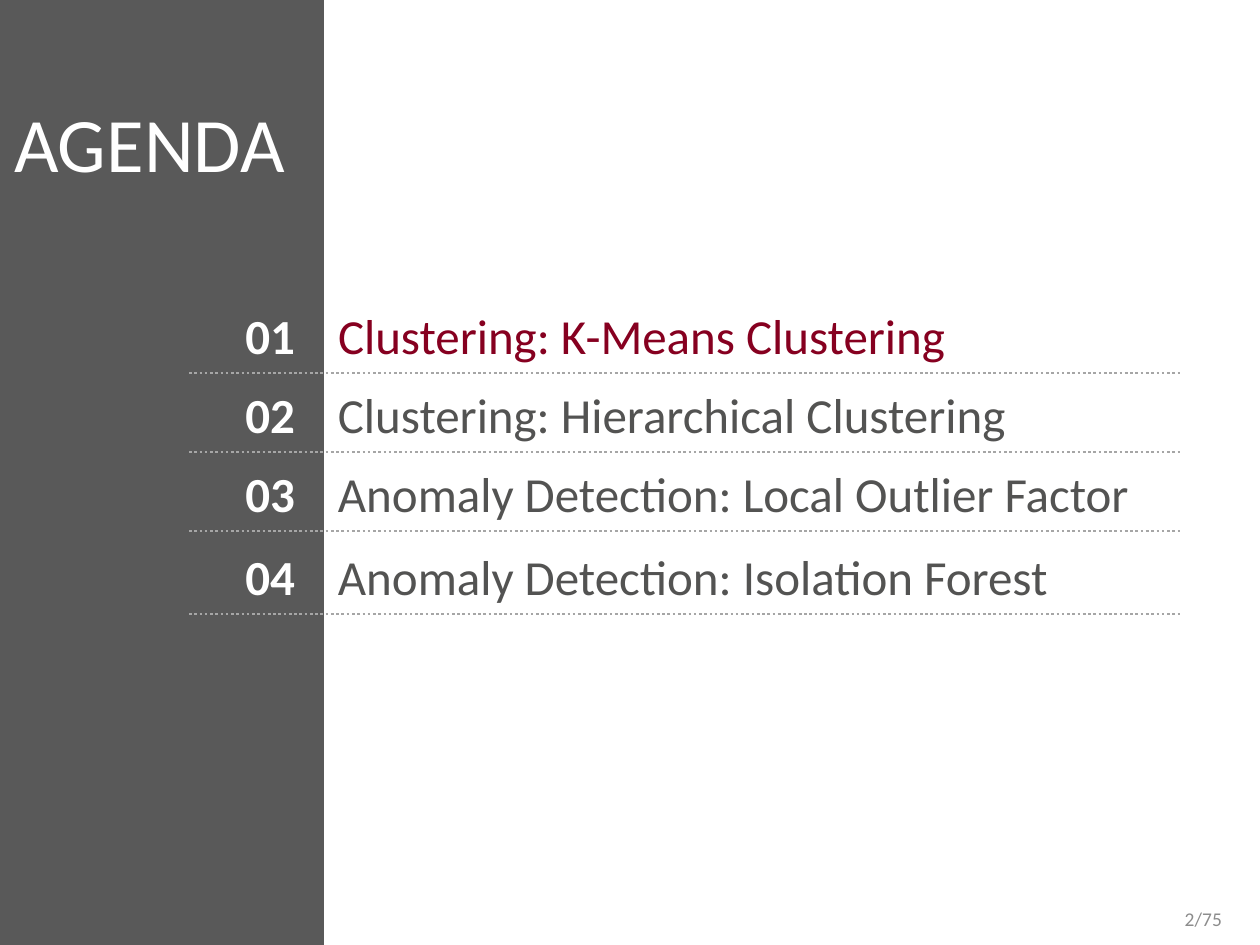
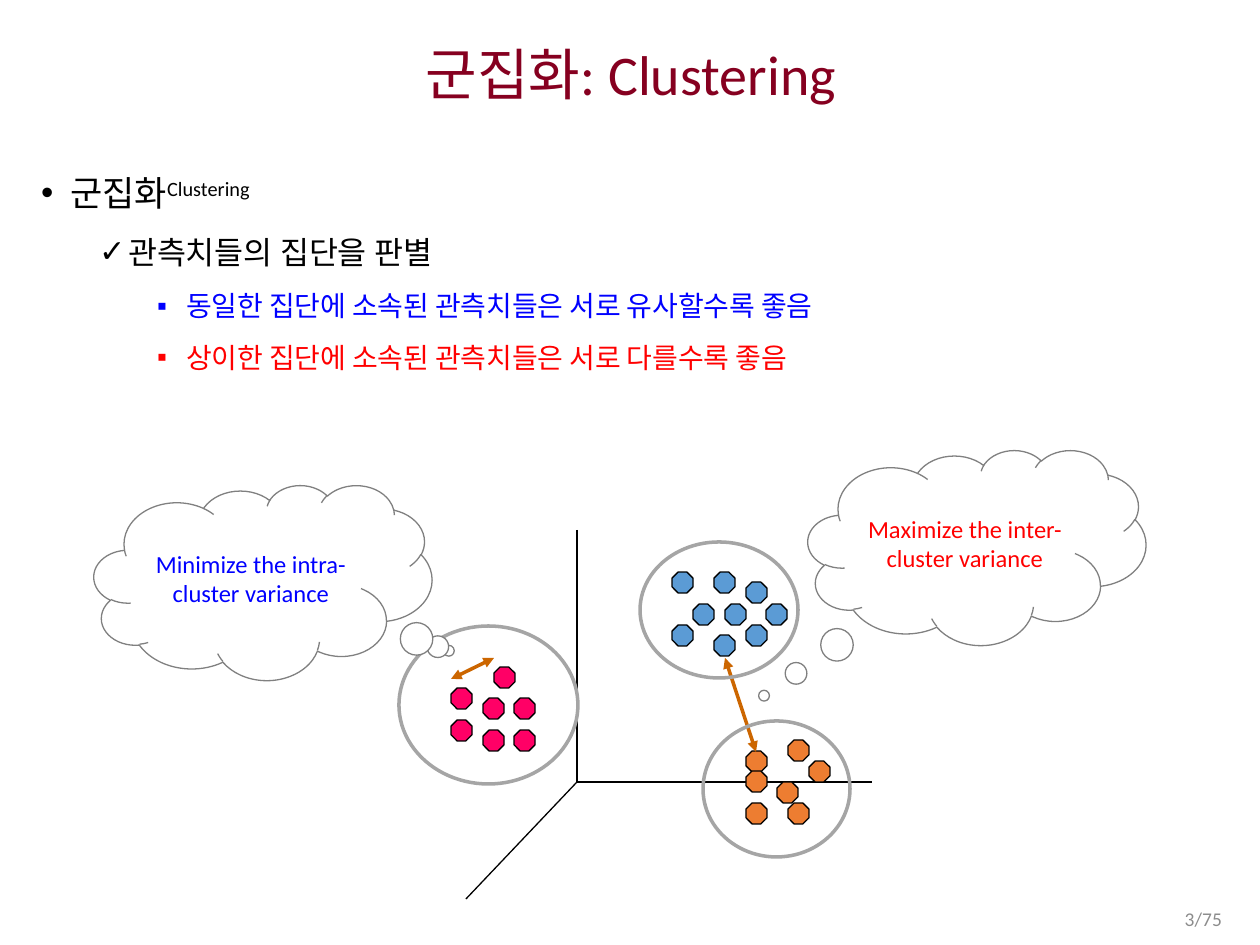
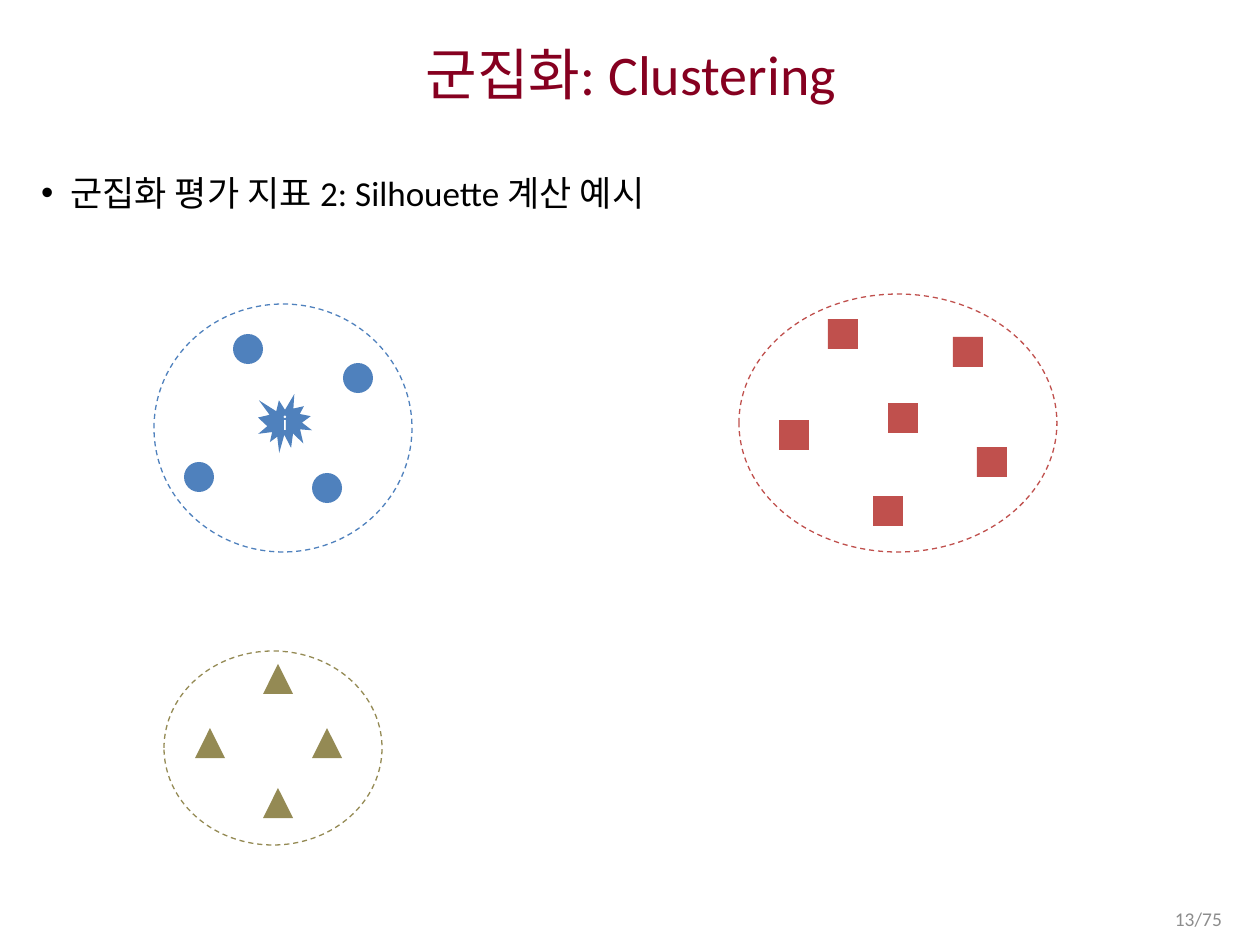
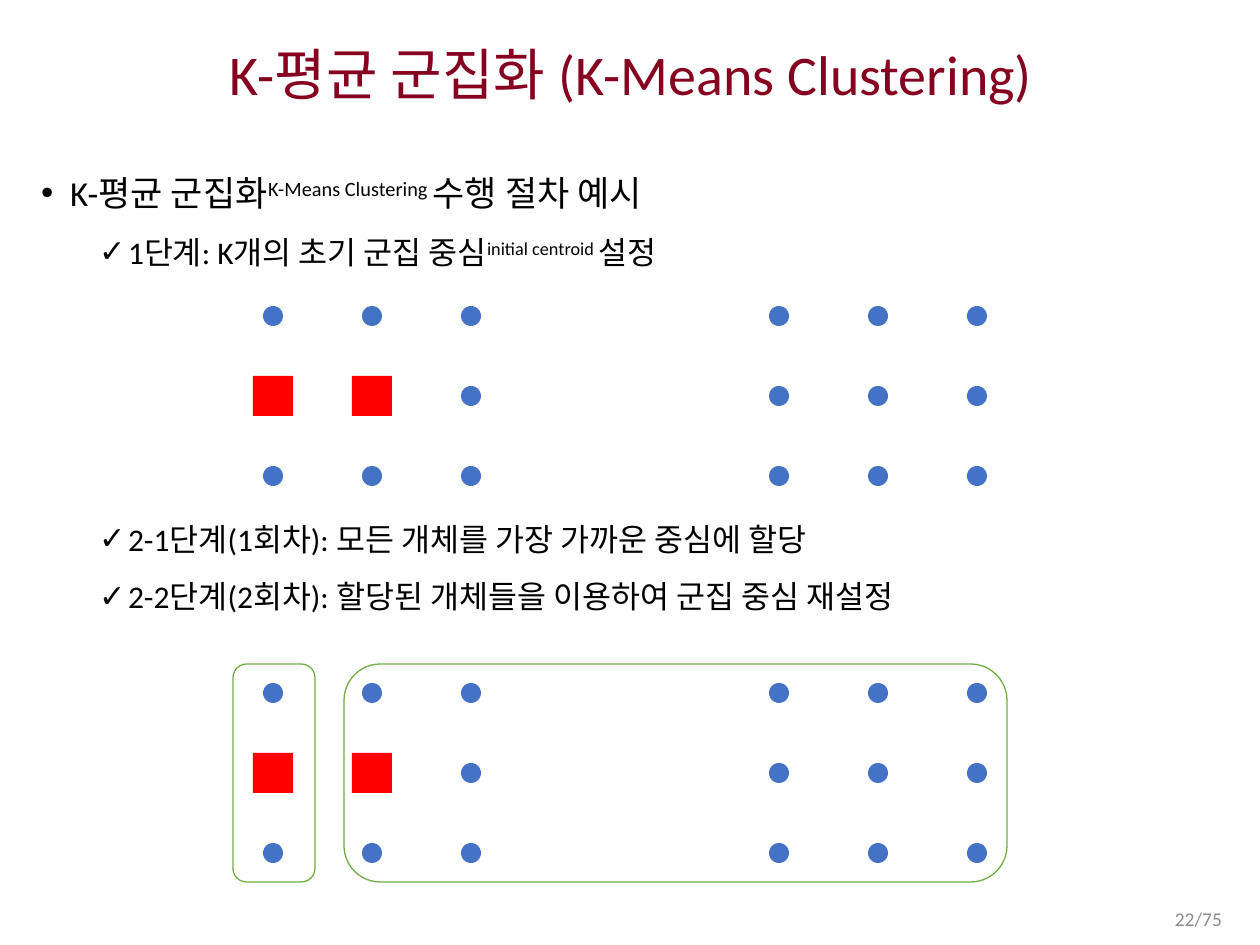
from lxml.etree import SubElement
from pptx import Presentation
from pptx.dml.color import RGBColor
from pptx.enum.dml import MSO_LINE
from pptx.enum.shapes import MSO_CONNECTOR, MSO_SHAPE
from pptx.enum.text import MSO_ANCHOR, MSO_AUTO_SIZE, PP_ALIGN
from pptx.oxml.ns import qn
from pptx.util import Emu, Pt

# Shared look
PX = 914400 / 126
FONT = "Calibri"
COLORS = {
    "white": "FFFFFF", "black": "000000", "band": "595959", "wine": "860020",
    "agenda": "535352", "rule": "A6A6A6", "page": "8C8C8C",
    "blue_text": "0000FF", "red": "FF0000",
    "sky": "5B9BD5", "pink": "FF0066", "orange": "ED7D31", "arrow": "CC6600",
    "ring": "A5A5A5", "cloud_line": "808080",
    "steel": "4F81BD", "brick": "C0504D", "olive": "948A54",
    "dot": "4472C4", "group": "70AD47",
}
TITLE_BOX = (28, 31, 1206, 92)
BODY_BOX = (29, 152, 1206, 736)
PAGE_BOX = (951, 900, 284, 38)
PAGE_TOTAL = 75
INSETS = (13, 6, 13, 6)
BODY_INSETS = (12, 7, 13, 6)
LEVELS = [
    {"bullet": "•", "size": 20, "left": 29, "before": 9.2},
    {"bullet": "✓", "size": 18, "left": 87, "before": 4.6},
    {"bullet": "▪", "size": 16, "left": 145, "before": 4.6},
]
HANGING = 29

# Agenda: label, label width, y of the rule below, colour
AGENDA_TITLE = ("AGENDA", (-37, 96, 373, 93))
AGENDA_BAND = (-53, 0, 377, 945)
AGENDA_ROWS = [
    ("Clustering: K-Means Clustering", 714, 373, "wine"),
    ("Clustering: Hierarchical Clustering", 867, 452, "agenda"),
    ("Anomaly Detection: Local Outlier Factor", 843, 531, "agenda"),
    ("Anomaly Detection: Isolation Forest", 843, 614, "agenda"),
]

# Body lines: level, runs of (text, format), optional space before
SUPER = {"baseline": 30}
CLUSTERING_TITLE = "군집화: Clustering"
CLUSTERING_BODY = [
    (0, [("군집화", {}), ("Clustering", SUPER)]),
    (1, [("관측치들의 집단을 판별", {})]),
    (2, [("동일한 집단에 소속된 관측치들은 서로 유사할수록 좋음", {"color": "blue_text"})]),
    (2, [("상이한 집단에 소속된 관측치들은 서로 다를수록 좋음", {"color": "red"})]),
]
SILHOUETTE_BODY = [(0, [("군집화 평가 지표 2: Silhouette 계산 예시", {})])]
KMEANS_TITLE = "K-평균 군집화 (K-Means Clustering)"
KMEANS_BODY = [
    (0, [("K-평균 군집화", {}), ("K-Means Clustering ", SUPER), ("수행 절차 예시", {})]),
    (1, [("1단계: K개의 초기 군집 중심", {}), ("initial centroid ", SUPER), ("설정", {})]),
    (1, [("2-1단계(1회차): 모든 개체를 가장 가까운 중심에 할당", {})], 136),
    (1, [("2-2단계(2회차): 할당된 개체들을 이용하여 군집 중심 재설정", {})]),
]

# Clusters in space
AXES = [((577, 530), (577, 782)), ((577, 782), (872, 782)), ((577, 782), (466, 899))]
OCTAGON_SIZE = 21
OCTAGONS = {
    "sky": [(693, 604), (725, 604), (714, 572), (714, 635), (766, 604),
            (746, 582), (672, 572), (746, 625), (672, 625)],
    "pink": [(451, 688), (483, 698), (483, 730), (514, 698), (494, 667),
             (514, 730), (451, 720)],
    "orange": [(746, 751), (809, 761), (777, 782), (746, 803), (788, 803),
               (746, 771), (788, 740)],
}
RINGS = [(399, 626, 179, 158), (640, 542, 158, 136), (703, 721, 147, 136)]
VARIANCE_ARROWS = [((756, 752), (725, 658)), ((451, 679), (494, 658))]
CLOUDS = [
    ("Minimize the intra-cluster variance", "blue_text", (94, 485), (0.55, 0.35)),
    ("Maximize the inter-cluster variance", "red", (808, 450), (-0.63, 0.76)),
]
CLOUD_SIZE = (338, 195)

# Silhouette clusters: marker shape, colour, marker corners, outline
MARKER_SIZE = 30
SILHOUETTE_CLUSTERS = [
    (MSO_SHAPE.OVAL, "steel", [(233, 334), (343, 363), (184, 462), (312, 473)],
     (154, 304, 258, 248)),
    (MSO_SHAPE.RECTANGLE, "brick",
     [(828, 319), (953, 337), (888, 403), (779, 420), (977, 447), (873, 496)],
     (739, 294, 318, 258)),
    (MSO_SHAPE.ISOSCELES_TRIANGLE, "olive",
     [(195, 728), (263, 664), (263, 788), (312, 728)], (164, 651, 218, 194)),
]
SELECTED_POINT = ("i", (258, 394, 54, 59))

# K-means grids, by centre points
GRID_TOPS = [316, 693]
GRID_LEFTS = [273, 779]
COLUMN_GAP, ROW_GAP = 99, 80
DOT_SIZE, CENTROID_SIZE = 20, 40
CENTROID_CELLS = [(0, 1), (1, 1)]
ASSIGNED_GROUPS = [(233, 664, 82, 218), (344, 664, 663, 218)]


def px(value):
    return Emu(round(value * PX))


def rgb(name):
    return RGBColor.from_string(COLORS[name])


def set_attributes(target, values):
    for name, value in values.items():
        setattr(target, name, value)


def set_frame(frame, anchor=MSO_ANCHOR.TOP, insets=INSETS):
    left, top, right, bottom = map(px, insets)
    set_attributes(frame, {
        "word_wrap": True, "auto_size": MSO_AUTO_SIZE.NONE, "vertical_anchor": anchor,
        "margin_left": left, "margin_top": top,
        "margin_right": right, "margin_bottom": bottom,
    })


def add_run(paragraph, text, size, color="black", bold=False, baseline=None):
    run = paragraph.add_run()
    run.text = text
    set_attributes(run.font, {"name": FONT, "size": Pt(size), "bold": bold})
    run.font.color.rgb = rgb(color)
    SubElement(run.font._element, qn("a:ea"), typeface=FONT)
    if baseline:
        run.font._element.set("baseline", str(baseline * 1000))


def write_line(shape, text, size, color, align=PP_ALIGN.LEFT, bold=False,
               anchor=MSO_ANCHOR.MIDDLE, insets=INSETS, spacing=None):
    set_frame(shape.text_frame, anchor, insets)
    paragraph = shape.text_frame.paragraphs[0]
    set_attributes(paragraph, {"alignment": align, "line_spacing": spacing})
    add_run(paragraph, text, size, color, bold)


def add_text(slide, box, *content, **formats):
    write_line(slide.shapes.add_textbox(*map(px, box)), *content, **formats)


def set_line(line, color, width, dash=None):
    line.color.rgb = rgb(color)
    line.width = Pt(width)
    if dash:
        line.dash_style = dash


def add_shape(slide, kind, box, fill=None, line=None):
    shape = slide.shapes.add_shape(kind, *map(px, box))
    shape.shadow.inherit = False
    if fill:
        shape.fill.solid()
        shape.fill.fore_color.rgb = rgb(fill)
    else:
        shape.fill.background()
    if line:
        set_line(shape.line, *line)
    else:
        shape.line.fill.background()
    return shape


def add_line(slide, start, end, line, arrows=False):
    connector = slide.shapes.add_connector(
        MSO_CONNECTOR.STRAIGHT, *map(px, (*start, *end)))
    set_line(connector.line, *line)
    if arrows:
        for tag in ("a:headEnd", "a:tailEnd"):
            SubElement(connector.line._get_or_add_ln(), qn(tag), type="triangle")
    SubElement(connector._element.spPr, qn("a:effectLst"))


def add_title(slide, text, box, **formats):
    title = slide.shapes.title
    set_attributes(title, dict(zip(("left", "top", "width", "height"), map(px, box))))
    write_line(title, text, align=PP_ALIGN.CENTER, **formats)


def add_body(slide, lines):
    frame = slide.shapes.add_textbox(*map(px, BODY_BOX)).text_frame
    set_frame(frame, insets=BODY_INSETS)
    for index, (level, runs, *before) in enumerate(lines):
        style = LEVELS[level]
        paragraph = frame.add_paragraph() if index else frame.paragraphs[0]
        set_attributes(paragraph, {"level": level, "line_spacing": 1.3})
        if index:
            paragraph.space_before = Pt(before[0] if before else style["before"])
        properties = paragraph._p.get_or_add_pPr()
        properties.set("marL", str(px(style["left"])))
        properties.set("indent", str(px(-HANGING)))
        SubElement(properties, qn("a:buFont"), typeface="Arial")
        SubElement(properties, qn("a:buChar"), char=style["bullet"])
        for text, formats in runs:
            add_run(paragraph, text, style["size"], **formats)


def add_slide(presentation, page):
    slide = presentation.slides.add_slide(presentation.slide_layouts[5])
    add_text(slide, PAGE_BOX, f"{page}/{PAGE_TOTAL}", 11.1, "page", PP_ALIGN.RIGHT)
    return slide


def add_content_slide(presentation, page, title, body):
    slide = add_slide(presentation, page)
    add_title(slide, title, TITLE_BOX, size=32, color="wine", spacing=0.9)
    add_body(slide, body)
    return slide


def build_agenda(presentation):
    slide = add_slide(presentation, 2)
    band = add_shape(slide, MSO_SHAPE.RECTANGLE, AGENDA_BAND, "band")
    slide.shapes.title.element.addprevious(band.element)
    add_title(slide, *AGENDA_TITLE, size=44, color="white",
              anchor=MSO_ANCHOR.TOP, insets=(0, 0, 0, 0))
    for number, (label, width, rule_y, color) in enumerate(AGENDA_ROWS, 1):
        add_text(slide, (169, rule_y - 74, 139, 72), f"{number:02}", 28, "white",
                 PP_ALIGN.RIGHT, bold=True)
        add_line(slide, (189, rule_y), (1182, rule_y),
                 ("rule", 1.5, MSO_LINE.ROUND_DOT))
        add_text(slide, (338, rule_y - 63, width, 49), label, 28, color,
                 insets=(0, 6, 13, 6))


def build_clustering(presentation):
    slide = add_content_slide(presentation, 3, CLUSTERING_TITLE, CLUSTERING_BODY)
    for start, end in AXES:
        add_line(slide, start, end, ("black", 0.75))
    for color, corners in OCTAGONS.items():
        for corner in corners:
            add_shape(slide, MSO_SHAPE.OCTAGON, (*corner, OCTAGON_SIZE, OCTAGON_SIZE),
                      color, ("black", 0.75))
    for start, end in VARIANCE_ARROWS:
        add_line(slide, start, end, ("arrow", 2), arrows=True)
    for ring in RINGS:
        add_shape(slide, MSO_SHAPE.OVAL, ring, line=("ring", 2))
    for text, color, corner, pointer in CLOUDS:
        cloud = add_shape(slide, MSO_SHAPE.CLOUD_CALLOUT, (*corner, *CLOUD_SIZE),
                          "white", ("cloud_line", 0.75))
        for index, value in enumerate(pointer):
            cloud.adjustments[index] = value
        write_line(cloud, text, 14, color, PP_ALIGN.CENTER)


def build_silhouette(presentation):
    slide = add_content_slide(presentation, 13, CLUSTERING_TITLE, SILHOUETTE_BODY)
    for kind, color, corners, outline in SILHOUETTE_CLUSTERS:
        for corner in corners:
            add_shape(slide, kind, (*corner, MARKER_SIZE, MARKER_SIZE), color)
        add_shape(slide, MSO_SHAPE.OVAL, outline, line=(color, 0.75, MSO_LINE.DASH))
    text, box = SELECTED_POINT
    write_line(add_shape(slide, MSO_SHAPE.EXPLOSION1, box, "steel"), text, 12, "white")


def build_kmeans(presentation):
    slide = add_content_slide(presentation, 22, KMEANS_TITLE, KMEANS_BODY)
    columns = [left + COLUMN_GAP * step for left in GRID_LEFTS for step in range(3)]
    for top in GRID_TOPS:
        for column, center_x in enumerate(columns):
            for row in range(3):
                is_centroid = (column, row) in CENTROID_CELLS
                kind, size, color = (
                    (MSO_SHAPE.RECTANGLE, CENTROID_SIZE, "red") if is_centroid
                    else (MSO_SHAPE.OVAL, DOT_SIZE, "dot"))
                center_y = top + ROW_GAP * row
                add_shape(slide, kind, (center_x - size / 2, center_y - size / 2,
                                        size, size), color)
    for group in ASSIGNED_GROUPS:
        add_shape(slide, MSO_SHAPE.ROUNDED_RECTANGLE, group, line=("group", 0.75))


def main():
    presentation = Presentation()
    presentation.slide_width, presentation.slide_height = px(1260), px(945)
    for build in (build_agenda, build_clustering, build_silhouette, build_kmeans):
        build(presentation)
    presentation.save("out.pptx")


if __name__ == "__main__":
    main()
